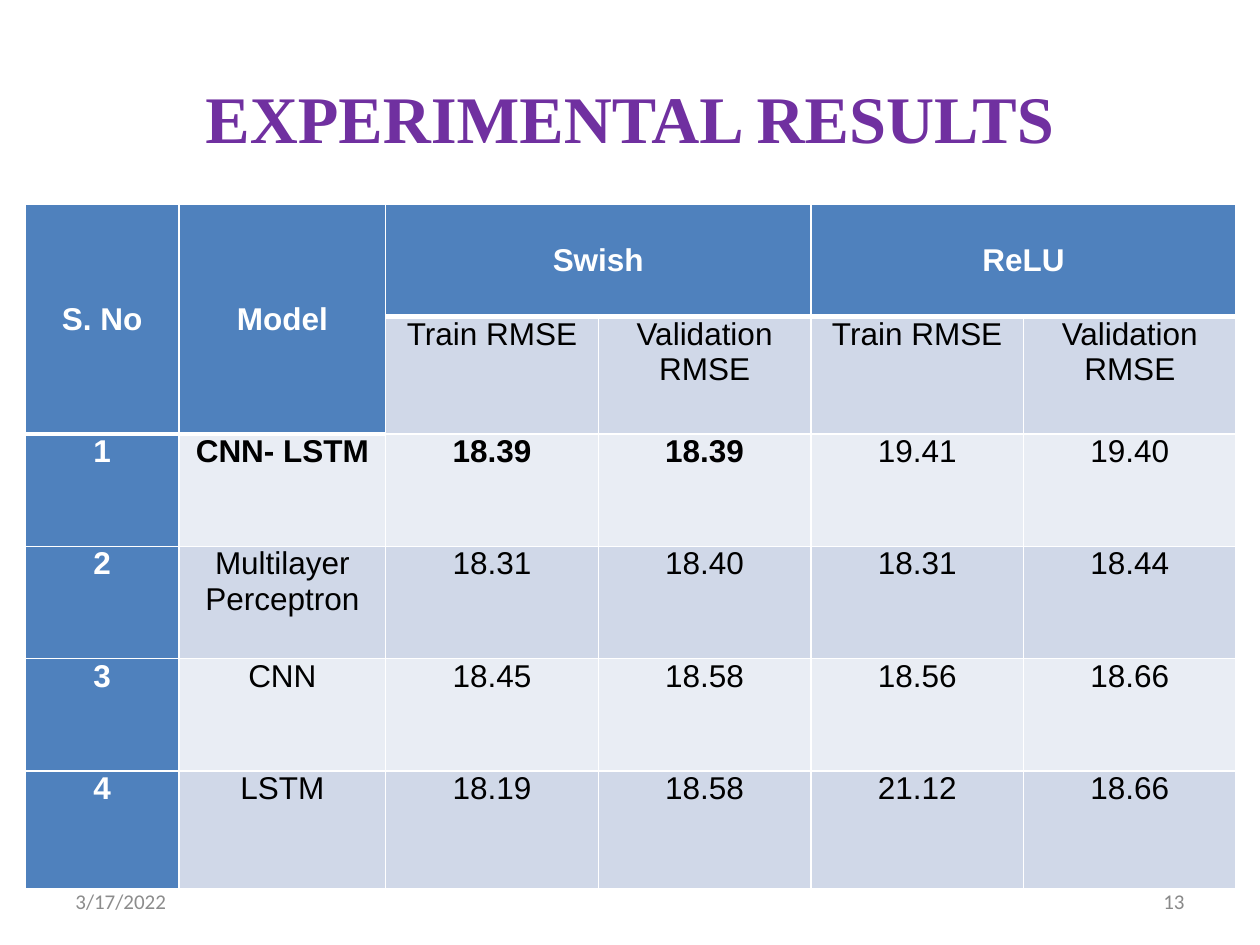
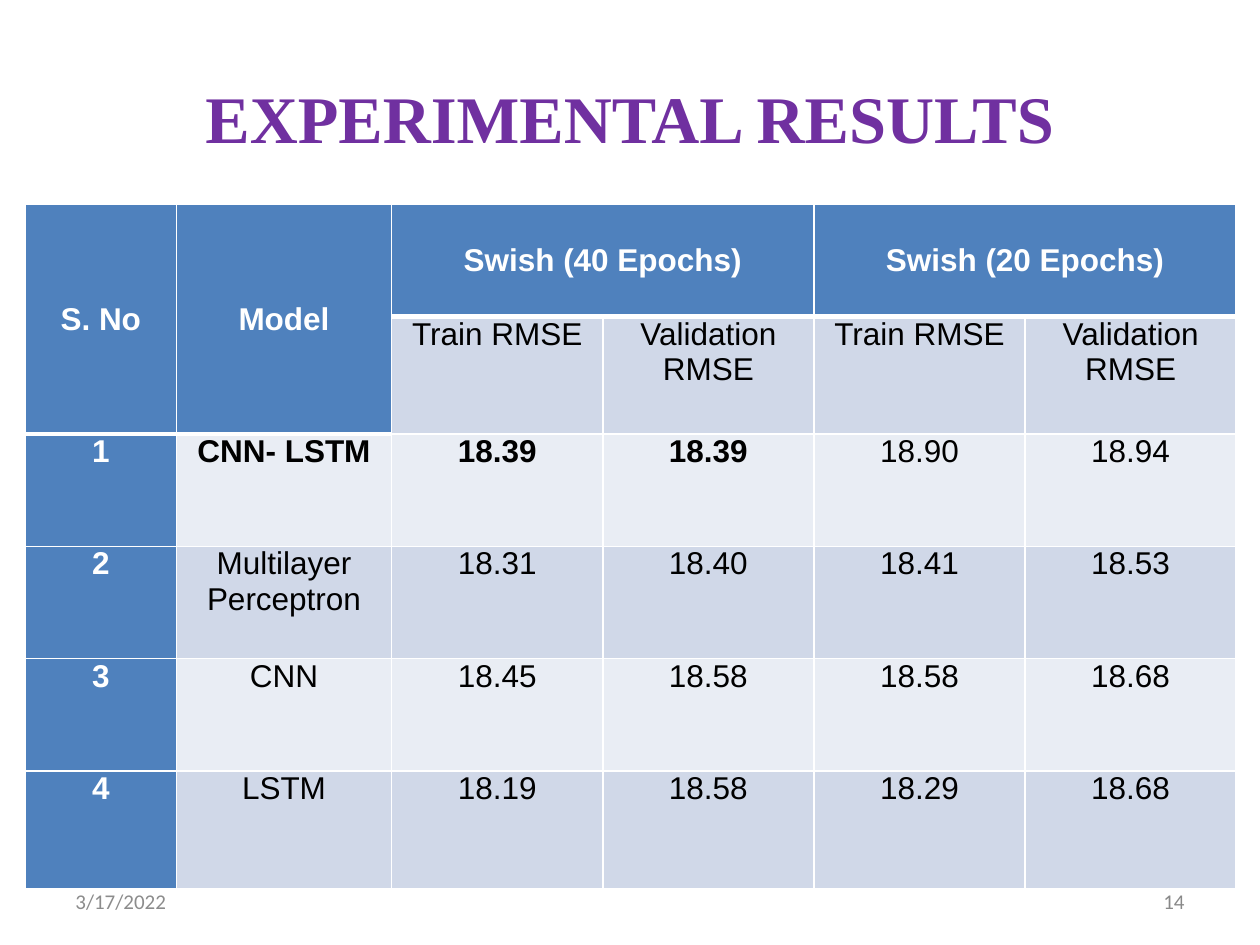
import pptx
import pptx.dml.color
import pptx.enum.text
import pptx.oxml.ns
import pptx.util
from lxml import etree

Pt = pptx.util.Pt
PP_ALIGN = pptx.enum.text.PP_ALIGN
ANCHOR = pptx.enum.text.MSO_ANCHOR

COLORS = {
    "title": "7030A0", "head": "4F81BD", "dark_band": "D0D8E8",
    "light_band": "E9EDF4", "rule": "FFFFFF", "on_head": "FFFFFF",
    "body": "000000", "number": "898989", "date": "8C8C8C",
}

MODELS = ["CNN- LSTM", "Multilayer Perceptron", "CNN", "LSTM"]
SWISH = [("18.39", "18.39"), ("18.31", "18.40"), ("18.45", "18.58"), ("18.19", "18.58")]
RELU = [("19.41", "19.40"), ("18.31", "18.44"), ("18.56", "18.66"), ("21.12", "18.66")]
SWISH_20 = [("18.90", "18.94"), ("18.41", "18.53"), ("18.58", "18.68"), ("18.29", "18.68")]

TABLE_WIDTH = 692
ROW_HEIGHTS = [64.2, 67.1, 64.2, 64.2, 64.2, 67.1]


class Deck:
    def __init__(self):
        self.prs = pptx.Presentation()
        self.prs.slide_width, self.prs.slide_height = Pt(720), Pt(540)
        self.s = None

    def slide(self):
        self.s = self.prs.slides.add_slide(self.prs.slide_layouts[6])

    def run(self, p, text, size, font, color, bold=False):
        r = p.add_run()
        r.text = text
        r.font.size, r.font.name, r.font.bold = Pt(size), font, bold
        r.font.color.rgb = pptx.dml.color.RGBColor.from_string(COLORS[color])

    def text(self, box, text, size, font, color, align, bold=False):
        tf = self.s.shapes.add_textbox(*map(Pt, box)).text_frame
        tf.word_wrap = True
        tf.vertical_anchor = ANCHOR.MIDDLE
        p = tf.paragraphs[0]
        p.alignment = align
        self.run(p, text, size, font, color, bold)

    def frame(self, title, number):
        """Title and footer shared by every slide."""
        self.text((36, 21.6, 648, 90), title, 38, "Times New Roman", "title",
                  PP_ALIGN.CENTER, True)
        self.text((516, 500.5, 168, 28.75), number, 12, "Calibri", "number", PP_ALIGN.RIGHT)
        self.text((36, 500.5, 168, 28.75), "3/17/2022", 12, "Calibri", "date", PP_ALIGN.LEFT)

    def borders(self, cell, top, bottom):
        tc_pr = cell._tc.get_or_add_tcPr()
        for side, width in (("L", 1), ("R", 1), ("T", top), ("B", bottom)):
            ln = etree.SubElement(tc_pr, pptx.oxml.ns.qn("a:ln" + side), w=str(Pt(width)))
            fill = etree.SubElement(ln, pptx.oxml.ns.qn("a:solidFill"))
            etree.SubElement(fill, pptx.oxml.ns.qn("a:srgbClr"), val=COLORS["rule"])

    def cell(self, cell, text, row, col):
        # The header is two rows deep over the first two columns, one elsewhere
        head_rows = 2 if col < 2 else 1
        in_header = row < head_rows
        on_head = in_header or col == 0
        best = row == 2 and col in (1, 2, 3)
        band = "dark_band" if row % 2 else "light_band"

        self.borders(cell, 3 if row == head_rows else 1, 3 if in_header else 1)
        cell.fill.solid()
        cell.fill.fore_color.rgb = pptx.dml.color.RGBColor.from_string(
            COLORS["head" if on_head else band])
        cell.margin_left = cell.margin_right = Pt(5)
        cell.margin_top = cell.margin_bottom = 0
        cell.vertical_anchor = ANCHOR.MIDDLE if in_header else ANCHOR.TOP
        if text:
            p = cell.text_frame.paragraphs[0]
            p.alignment = PP_ALIGN.CENTER
            self.run(p, text, 18, "Arial", "on_head" if on_head else "body", on_head or best)

    def results_table(self, label_widths, groups):
        """Draw one train/validation column pair for each (heading, scores) group."""
        (left_name, left), (right_name, right) = groups
        rows = [["S. No", "Model", left_name, "", right_name, ""],
                ["", ""] + ["Train RMSE", "Validation RMSE"] * 2]
        for i, (model, a, b) in enumerate(zip(MODELS, left, right), 1):
            rows.append([str(i), model, *a, *b])

        table = self.s.shapes.add_table(len(rows), 6, Pt(14.4), Pt(116.7),
                                        Pt(TABLE_WIDTH), Pt(sum(ROW_HEIGHTS))).table
        score_width = (TABLE_WIDTH - sum(label_widths)) / 4
        for column, width in zip(table.columns, [*label_widths] + [score_width] * 4):
            column.width = Pt(width)
        for row, height in zip(table.rows, ROW_HEIGHTS):
            row.height = Pt(height)

        for r, values in enumerate(rows):
            for c, value in enumerate(values):
                self.cell(table.cell(r, c), value, r, c)
        for c in (0, 1):
            table.cell(0, c).merge(table.cell(1, c))
        for c in (2, 4):
            table.cell(0, c).merge(table.cell(0, c + 1))


def main():
    deck = Deck()

    # Activation functions compared
    deck.slide()
    deck.frame("EXPERIMENTAL RESULTS", "13")
    deck.results_table((88, 118), [("Swish", SWISH), ("ReLU", RELU)])

    # Epoch counts compared
    deck.slide()
    deck.frame("EXPERIMENTAL RESULTS", "14")
    deck.results_table((86.4, 123), [("Swish (40 Epochs)", SWISH),
                                     ("Swish (20 Epochs)", SWISH_20)])

    deck.prs.save("out.pptx")


if __name__ == "__main__":
    main()
